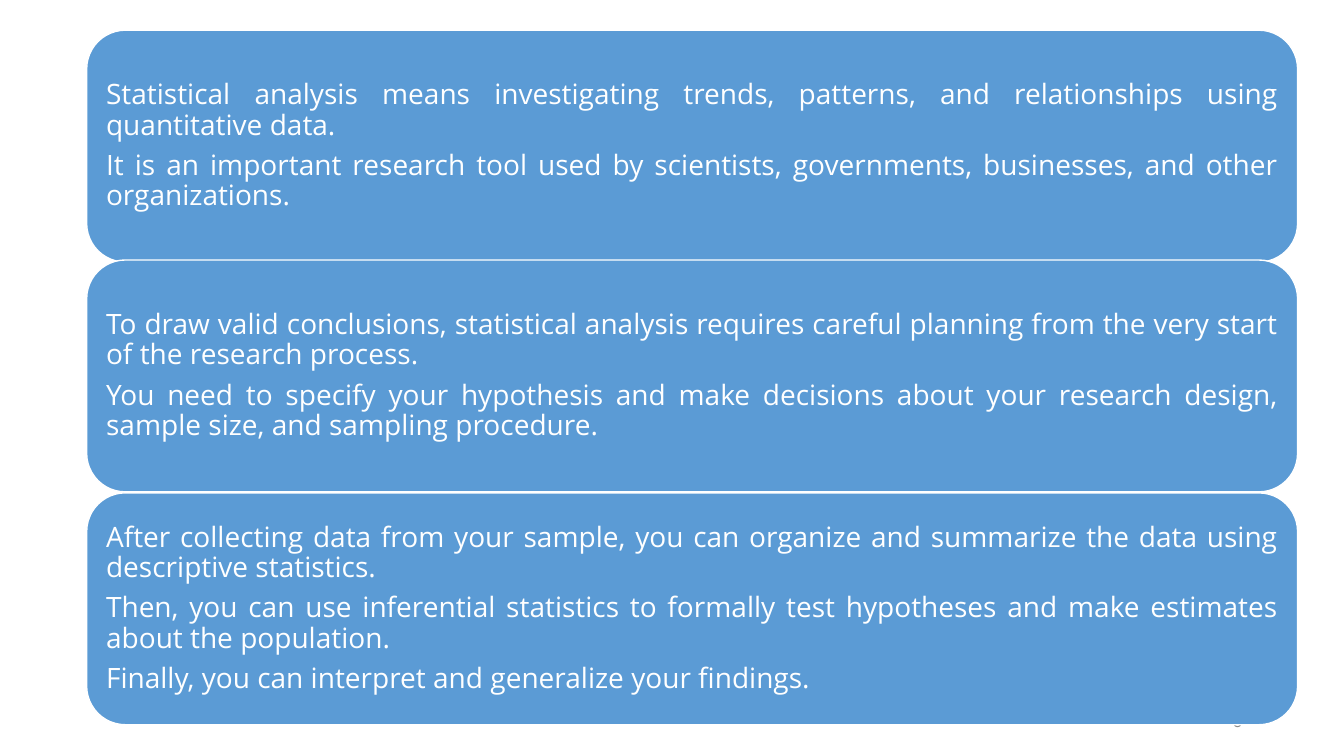
from pptx import Presentation
from pptx.dml.color import RGBColor
from pptx.enum.shapes import MSO_SHAPE
from pptx.enum.text import MSO_ANCHOR, PP_ALIGN
from pptx.util import Inches, Pt

ROUNDED = MSO_SHAPE.ROUNDED_RECTANGLE
MIDDLE = MSO_ANCHOR.MIDDLE
JUSTIFY = PP_ALIGN.JUSTIFY
RIGHT = PP_ALIGN.RIGHT

BLUE, WHITE, GREY = "5B9BD5", "FFFFFF", "8C8C8C"
PANEL_LEFT, PANEL_WIDTH, PANEL_HEIGHT = 0.86, 12.01, 2.3
PANEL_INSET = 0.08

# Top of each panel and its paragraphs
PANELS = [
    (0.3, [
        "Statistical analysis means investigating trends, patterns, and "
        "relationships using quantitative data.",
        "It is an important research tool used by scientists, governments, "
        "businesses, and other organizations.",
    ]),
    (2.58, [
        "To draw valid conclusions, statistical analysis requires careful "
        "planning from the very start of the research process.",
        "You need to specify your hypothesis and make decisions about your "
        "research design, sample size, and sampling procedure.",
    ]),
    (4.89, [
        "After collecting data from your sample, you can organize and "
        "summarize the data using descriptive statistics.",
        "Then, you can use inferential statistics to formally test hypotheses "
        "and make estimates about the population.",
        "Finally, you can interpret and generalize your findings.",
    ]),
]


def color(hex_value):
    return RGBColor.from_string(hex_value)


def style_runs(paragraph, font_name, size, hex_value):
    for run in paragraph.runs:
        run.font.name = font_name
        run.font.size = Pt(size)
        run.font.color.rgb = color(hex_value)


def add_page_number(slide, number):
    page_number = slide.shapes.add_textbox(
        Inches(9.42), Inches(6.95), Inches(3), Inches(0.4))
    frame = page_number.text_frame
    frame.word_wrap = True
    frame.vertical_anchor = MIDDLE
    frame.text = number
    frame.paragraphs[0].alignment = RIGHT
    style_runs(frame.paragraphs[0], "Karla", 12, GREY)


def add_panel(slide, top, statements):
    panel = slide.shapes.add_shape(
        ROUNDED, Inches(PANEL_LEFT), Inches(top),
        Inches(PANEL_WIDTH), Inches(PANEL_HEIGHT))
    panel.shadow.inherit = False
    panel.fill.solid()
    panel.fill.fore_color.rgb = color(BLUE)
    panel.line.color.rgb = color(WHITE)
    panel.line.width = Pt(1)

    frame = panel.text_frame
    frame.word_wrap = True
    frame.vertical_anchor = MIDDLE
    frame.margin_left = frame.margin_right = Inches(PANEL_INSET)
    frame.margin_top = frame.margin_bottom = Inches(PANEL_INSET)
    frame.text = "\n".join(statements)
    for paragraph in frame.paragraphs:
        paragraph.alignment = JUSTIFY
        paragraph.line_spacing = 0.9
        paragraph.space_after = Pt(7)
        style_runs(paragraph, "Open Sans", 20, WHITE)


def main():
    presentation = Presentation()
    presentation.slide_width = Inches(13.33)
    presentation.slide_height = Inches(7.5)
    slide = presentation.slides.add_slide(presentation.slide_layouts[6])

    # Page number, behind the last panel
    add_page_number(slide, "5")

    # Stacked text panels
    for top, statements in PANELS:
        add_panel(slide, top, statements)

    presentation.save("out.pptx")


if __name__ == "__main__":
    main()
